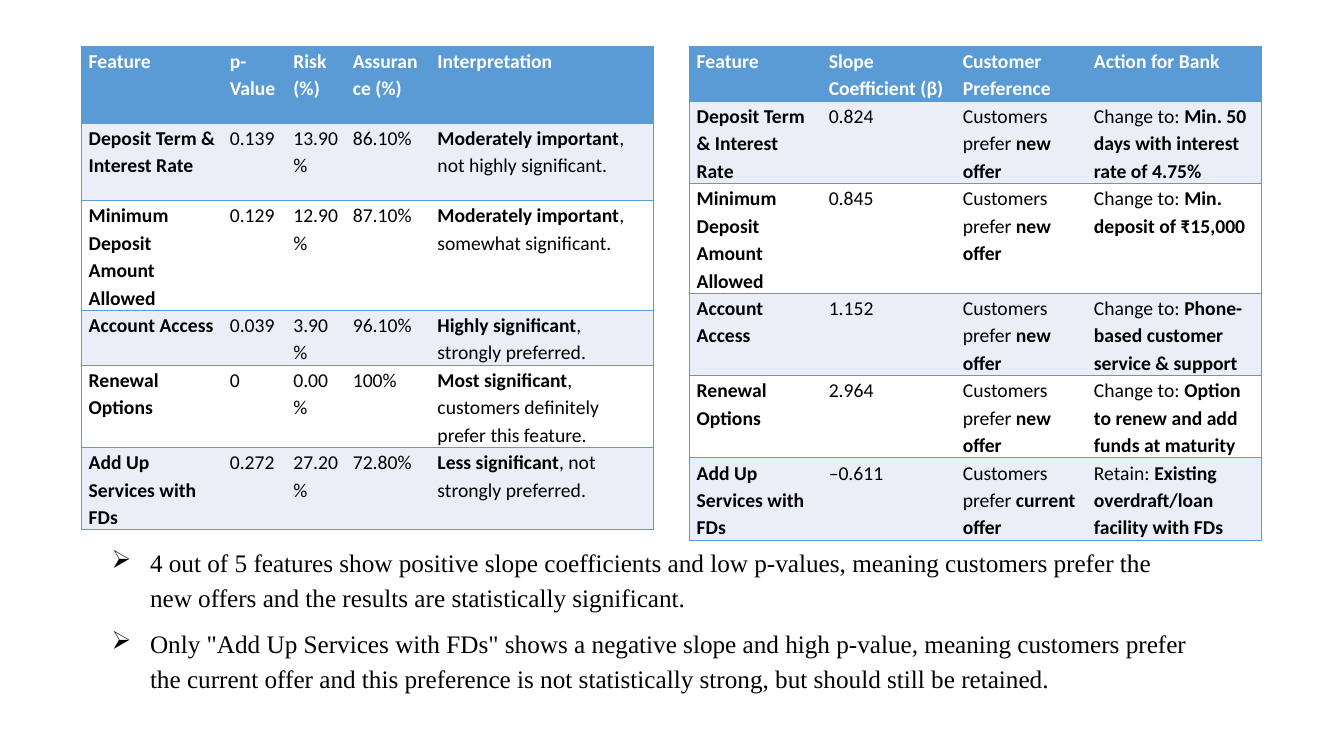
import dataclasses

import pptx
import pptx.dml.color
import pptx.enum.text
import pptx.oxml
import pptx.oxml.ns
import pptx.util

EMU_PER_PX = 9144  # 100 px to the inch


@dataclasses.dataclass(frozen=True)
class Theme:
    accent: str = "5B9BD5"
    band: str = "EAEFF7"
    plain: str = "FFFFFF"
    header_text: str = "FFFFFF"
    text: str = "000000"
    table_font: str = "Calibri"
    body_font: str = "Times New Roman"
    table_size: int = 14
    body_size: int = 18
    line_spacing: float = 1.15
    space_after: int = 8
    border_width: int = 1
    table_style: str = "{2D5ABB26-0587-4C30-8999-92F81FD0307C}"


def px(length):
    return pptx.util.Emu(length * EMU_PER_PX)


def rgb(color):
    return pptx.dml.color.RGBColor.from_string(color)


def write(paragraph, text, *, font, size, color, bold=False, line_spacing=1.0, space_after=0):
    """Fill a paragraph; parts between ** marks switch the bold setting."""
    paragraph.line_spacing = line_spacing
    paragraph.space_after = pptx.util.Pt(space_after)
    for index, part in enumerate(text.split("**")):
        if part:
            run = paragraph.add_run()
            run.text = part
            run.font.name = font
            run.font.size = pptx.util.Pt(size)
            run.font.color.rgb = rgb(color)
            run.font.bold = bold != (index % 2 == 1)


class SlideBuilder:
    def __init__(self, slide, theme):
        self.slide = slide
        self.theme = theme
        self.spacing = {"line_spacing": theme.line_spacing, "space_after": theme.space_after}

    def border(self, cell, sides):
        """Draw accent lines on the sides, named in the order L, R, T, B."""
        width = pptx.util.Pt(self.theme.border_width)
        for index, side in enumerate(sides):
            line = pptx.oxml.parse_xml(
                f'<a:ln{side} {pptx.oxml.ns.nsdecls("a")} w="{width}"><a:solidFill>'
                f'<a:srgbClr val="{self.theme.accent}"/></a:solidFill></a:ln{side}>')
            cell._tc.get_or_add_tcPr().insert(index, line)

    def table(self, left, top, widths, heights, rows):
        theme = self.theme
        frame = self.slide.shapes.add_table(
            len(rows), len(widths), px(left), px(top), px(sum(widths)), px(sum(heights)))
        table = frame.table
        table.horz_banding = False
        table._tbl.tblPr.find(pptx.oxml.ns.qn("a:tableStyleId")).text = theme.table_style
        for column, width in zip(table.columns, widths):
            column.width = px(width)
        for row, height in zip(table.rows, heights):
            row.height = px(height)
        last = len(widths) - 1
        for r, texts in enumerate(rows):
            fill = theme.accent if r == 0 else (theme.plain, theme.band)[r % 2]
            for c, text in enumerate(texts):
                cell = table.cell(r, c)
                cell.margin_left = cell.margin_right = px(7)
                cell.margin_top = cell.margin_bottom = 0
                cell.fill.solid()
                cell.fill.fore_color.rgb = rgb(fill)
                write(cell.text_frame.paragraphs[0], text, font=theme.table_font,
                      size=theme.table_size, bold=r == 0 or c == 0,
                      color=theme.text if r else theme.header_text, **self.spacing)
                self.border(cell, ("L" if c == 0 else "") + ("R" if c == last else "") + "TB")

    def bullets(self, left, top, width, height, texts, indent):
        theme = self.theme
        box = self.slide.shapes.add_textbox(px(left), px(top), px(width), px(height))
        frame = box.text_frame
        frame.word_wrap = True
        frame.auto_size = pptx.enum.text.MSO_AUTO_SIZE.SHAPE_TO_FIT_TEXT
        for index, text in enumerate(texts):
            paragraph = frame.add_paragraph() if index else frame.paragraphs[0]
            write(paragraph, text, font=theme.body_font, size=theme.body_size,
                  color=theme.text, **self.spacing)
            properties = paragraph._p.get_or_add_pPr()
            properties.set("marL", str(px(indent)))
            properties.set("indent", str(-px(indent)))
            properties.append(pptx.oxml.parse_xml(
                f'<a:buChar {pptx.oxml.ns.nsdecls("a")} char="➢"/>'))


FEATURES = ["Deposit Term & Interest Rate", "Minimum Deposit Amount Allowed",
            "Account Access", "Renewal Options", "Add Up Services with FDs"]

SIGNIFICANCE = [
    ("0.139", "13.90%", "86.10%", "**Moderately important**, not highly significant."),
    ("0.129", "12.90%", "87.10%", "**Moderately important**, somewhat significant."),
    ("0.039", "3.90%", "96.10%", "**Highly significant**, strongly preferred."),
    ("0", "0.00%", "100%", "**Most significant**, customers definitely prefer this feature."),
    ("0.272", "27.20%", "72.80%", "**Less significant**, not strongly preferred."),
]

ACTIONS = [
    ("0.824", "new", "Change to: **Min. 50 days with interest rate of 4.75%**"),
    ("0.845", "new", "Change to: **Min. deposit of ₹15,000**"),
    ("1.152", "new", "Change to: **Phone-based customer service & support**"),
    ("2.964", "new", "Change to: **Option to renew and add funds at maturity**"),
    ("–0.611", "current", "Retain: **Existing overdraft/loan facility with FDs**"),
]

FINDINGS = [
    "4 out of 5 features show positive slope coefficients and low p-values, meaning "
    "customers prefer the new offers and the results are statistically significant.",
    'Only "Add Up Services with FDs" shows a negative slope and high p-value, meaning '
    "customers prefer the current offer and this preference is not statistically strong, "
    "but should still be retained.",
]


def main():
    presentation = pptx.Presentation()
    presentation.slide_width = px(1333)
    presentation.slide_height = px(750)
    slide = presentation.slides.add_slide(presentation.slide_layouts[6])
    builder = SlideBuilder(slide, Theme())

    significance_rows = [("Feature", "p-Value", "Risk (%)", "Assurance (%)", "Interpretation")]
    significance_rows += [(feature, *values) for feature, values in zip(FEATURES, SIGNIFICANCE)]
    builder.table(81, 46, [140, 63, 59, 84, 221], [76, 77, 107, 53, 80, 80], significance_rows)

    action_rows = [("Feature", "Slope Coefficient (β)", "Customer Preference", "Action for Bank")]
    action_rows += [(feature, slope, f"Customers prefer **{offer} offer**", action)
                    for feature, (slope, offer, action) in zip(FEATURES, ACTIONS)]
    builder.table(684, 46, [131, 133, 130, 173], [51, 78, 104, 78, 78, 78], action_rows)

    builder.bullets(101, 534, 1094, 202, FINDINGS, indent=38)
    presentation.save("out.pptx")


if __name__ == "__main__":
    main()
